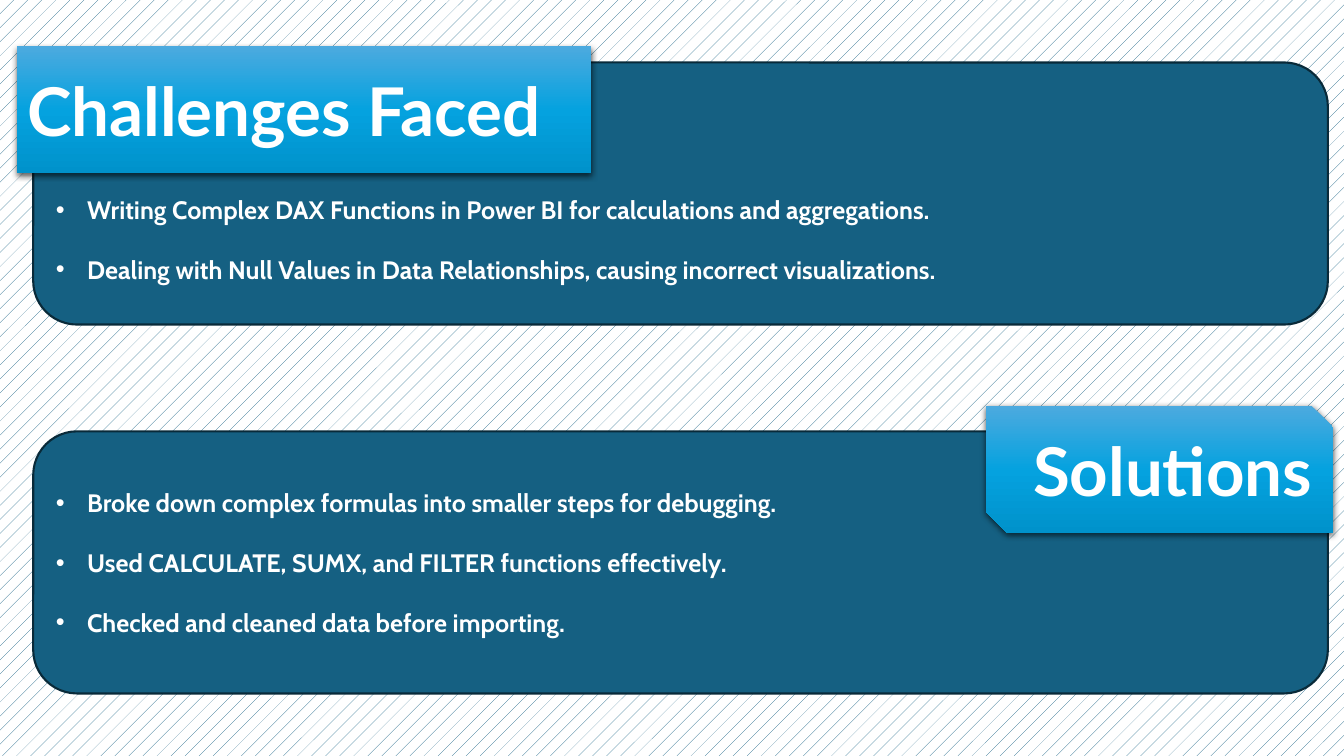
from copy import deepcopy

from lxml import etree
from pptx import Presentation
from pptx.dml.color import RGBColor
from pptx.enum.dml import MSO_PATTERN
from pptx.enum.shapes import MSO_SHAPE
from pptx.enum.text import MSO_ANCHOR, MSO_AUTO_SIZE, PP_ALIGN
from pptx.oxml.ns import qn
from pptx.util import Inches, Pt

ROUNDED = MSO_SHAPE.ROUNDED_RECTANGLE
SNIPPED = MSO_SHAPE.SNIP_2_DIAG_RECTANGLE
DOTTED = MSO_PATTERN.PERCENT_5
MIDDLE = MSO_ANCHOR.MIDDLE
NO_AUTOFIT = MSO_AUTO_SIZE.NONE
LEFT, RIGHT = PP_ALIGN.LEFT, PP_ALIGN.RIGHT

WHITE = RGBColor(0xFF, 0xFF, 0xFF)
TEAL = RGBColor(0x15, 0x60, 0x82)
DARK_TEAL = RGBColor(0x09, 0x2A, 0x39)
BANNER_GRADIENT = (
    (0, RGBColor(0x4C, 0xAA, 0xDF)),
    (0.5, RGBColor(0x05, 0xA2, 0xDF)),
    (1, RGBColor(0x00, 0x92, 0xCB)),
)

CHALLENGES = (
    "Writing Complex DAX Functions in Power BI for calculations and aggregations.",
    "Dealing with Null Values in Data Relationships, causing incorrect visualizations.",
)
SOLUTIONS = (
    "Broke down complex formulas into smaller steps for debugging.",
    "Used CALCULATE, SUMX, and FILTER functions effectively.",
    "Checked and cleaned data before importing.",
)


def apply_format(target, values):
    for name, value in values.items():
        setattr(target, name, value)


class SlideBuilder:
    body_font = {"name": "Cabin", "size": Pt(18), "bold": True}
    heading_font = {"name": "Lato", "size": Pt(48), "bold": True}
    bullet_indent = Inches(0.31)
    bullet_gap = Pt(21)

    def __init__(self, presentation):
        self.slide = presentation.slides.add_slide(presentation.slide_layouts[5])

    def background(self):
        fill = self.slide.background.fill
        fill.patterned()
        fill.pattern = DOTTED
        fill.fore_color.rgb = TEAL
        fill.back_color.rgb = WHITE

    def add_text(self, paragraph, text, font, alignment):
        paragraph.alignment = alignment
        run = paragraph.add_run()
        run.text = text
        apply_format(run.font, font)
        run.font.color.rgb = WHITE

    def panel(self, top, items, top_inset):
        shape = self.slide.shapes.add_shape(
            ROUNDED, Inches(0.33), Inches(top), Inches(12.84), Inches(2.6))
        shape.shadow.inherit = False
        shape.fill.solid()
        shape.fill.fore_color.rgb = TEAL
        shape.line.color.rgb = DARK_TEAL
        shape.line.width = Pt(1.5)
        frame = shape.text_frame
        apply_format(frame, {"word_wrap": True, "vertical_anchor": MIDDLE,
                             "margin_top": Inches(top_inset)})
        for index, item in enumerate(items):
            paragraph = frame.add_paragraph() if index else frame.paragraphs[0]
            paragraph.space_before = self.bullet_gap if index else Pt(0)
            self.add_text(paragraph, item, self.body_font, LEFT)
            self.bullet(paragraph)

    def bullet(self, paragraph):
        properties = paragraph._p.get_or_add_pPr()
        properties.set("marL", str(self.bullet_indent))
        properties.set("indent", str(-self.bullet_indent))
        etree.SubElement(properties, qn("a:buFont"), typeface="Arial")
        etree.SubElement(properties, qn("a:buChar"), char="•")

    def title(self, text, left, top, width, height):
        shape = self.slide.shapes.title
        self.slide.shapes._spTree.append(shape._element)
        apply_format(shape, {"left": Inches(left), "top": Inches(top),
                             "width": Inches(width), "height": Inches(height)})
        geometry = etree.Element(qn("a:prstGeom"), prst="snip2DiagRect")
        etree.SubElement(geometry, qn("a:avLst"))
        shape._element.spPr.find(qn("a:xfrm")).addnext(geometry)
        self.banner(shape, text, LEFT)

    def heading(self, text, left, top, width, height):
        shape = self.slide.shapes.add_shape(
            SNIPPED, Inches(left), Inches(top), Inches(width), Inches(height))
        self.banner(shape, text, RIGHT)

    def banner(self, shape, text, alignment):
        self.gradient(shape)
        shape.line.fill.background()
        self.drop_shadow(shape)
        frame = shape.text_frame
        apply_format(frame, {"word_wrap": True, "vertical_anchor": MIDDLE,
                             "auto_size": NO_AUTOFIT})
        paragraph = frame.paragraphs[0]
        paragraph.line_spacing = 1.0
        self.add_text(paragraph, text, self.heading_font, alignment)

    def gradient(self, shape):
        fill = shape.fill
        fill.gradient()
        fill.gradient_angle = 270
        stops = shape._element.spPr.find(qn("a:gradFill")).find(qn("a:gsLst"))
        stops.append(deepcopy(stops[0]))
        for stop, (position, color) in zip(fill.gradient_stops, BANNER_GRADIENT):
            stop.position = position
            stop.color.rgb = color

    def drop_shadow(self, shape):
        shape.shadow.inherit = False
        effects = shape._element.spPr.find(qn("a:effectLst"))
        shadow = etree.SubElement(
            effects, qn("a:outerShdw"), blurRad=str(Pt(4.5)), dist=str(Pt(1.5)),
            dir="5400000", algn="ctr", rotWithShape="0")
        color = etree.SubElement(shadow, qn("a:srgbClr"), val="000000")
        etree.SubElement(color, qn("a:alpha"), val="63000")


def main():
    presentation = Presentation()
    presentation.slide_width = Inches(13.33)
    presentation.slide_height = Inches(7.5)
    builder = SlideBuilder(presentation)
    builder.background()
    builder.panel(0.62, CHALLENGES, 0.96)
    builder.panel(4.28, SOLUTIONS, 0.05)
    builder.title("Challenges Faced", 0.17, 0.46, 5.69, 1.26)
    builder.heading("Solutions", 9.78, 4.03, 3.44, 1.26)
    presentation.save("out.pptx")


if __name__ == "__main__":
    main()
